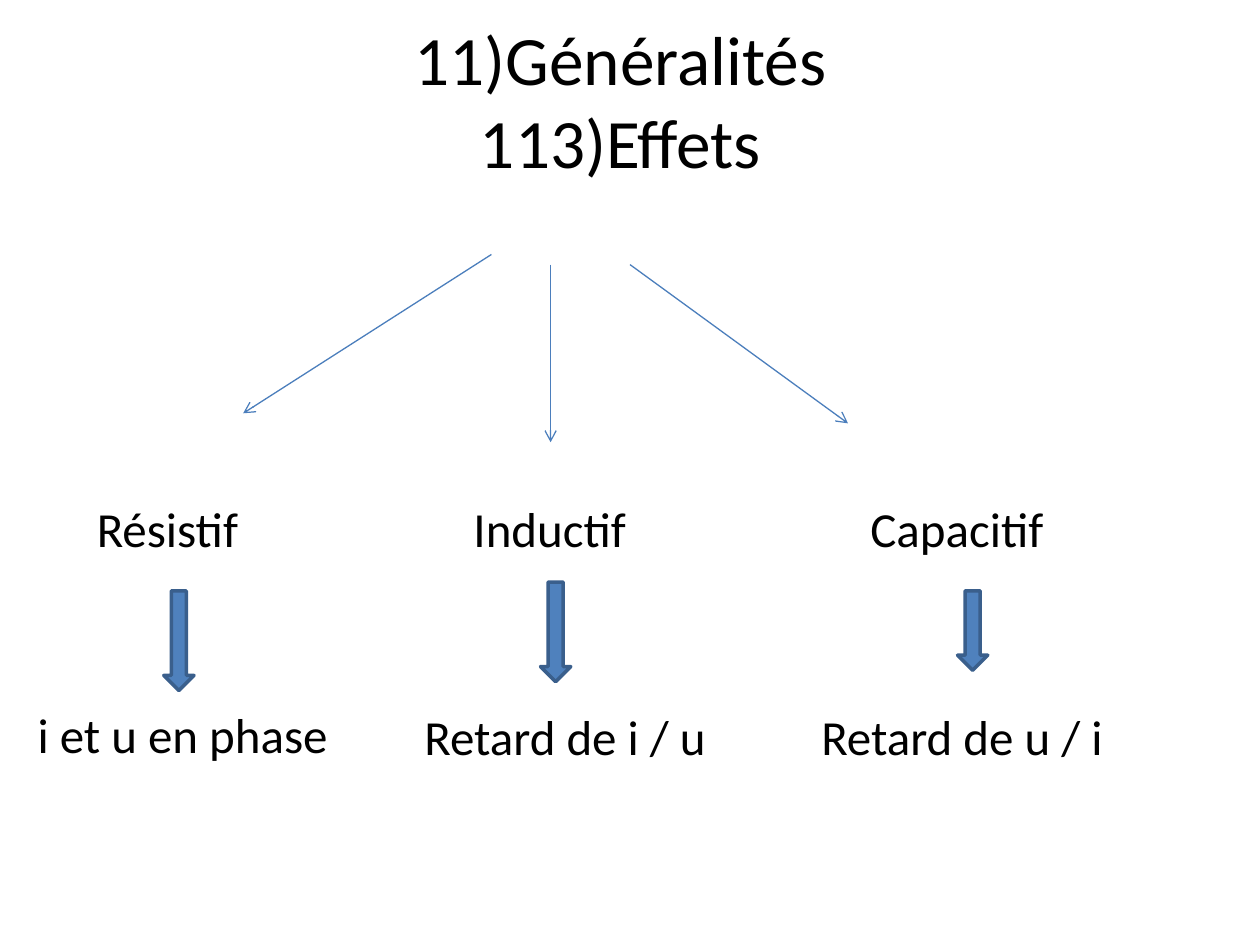
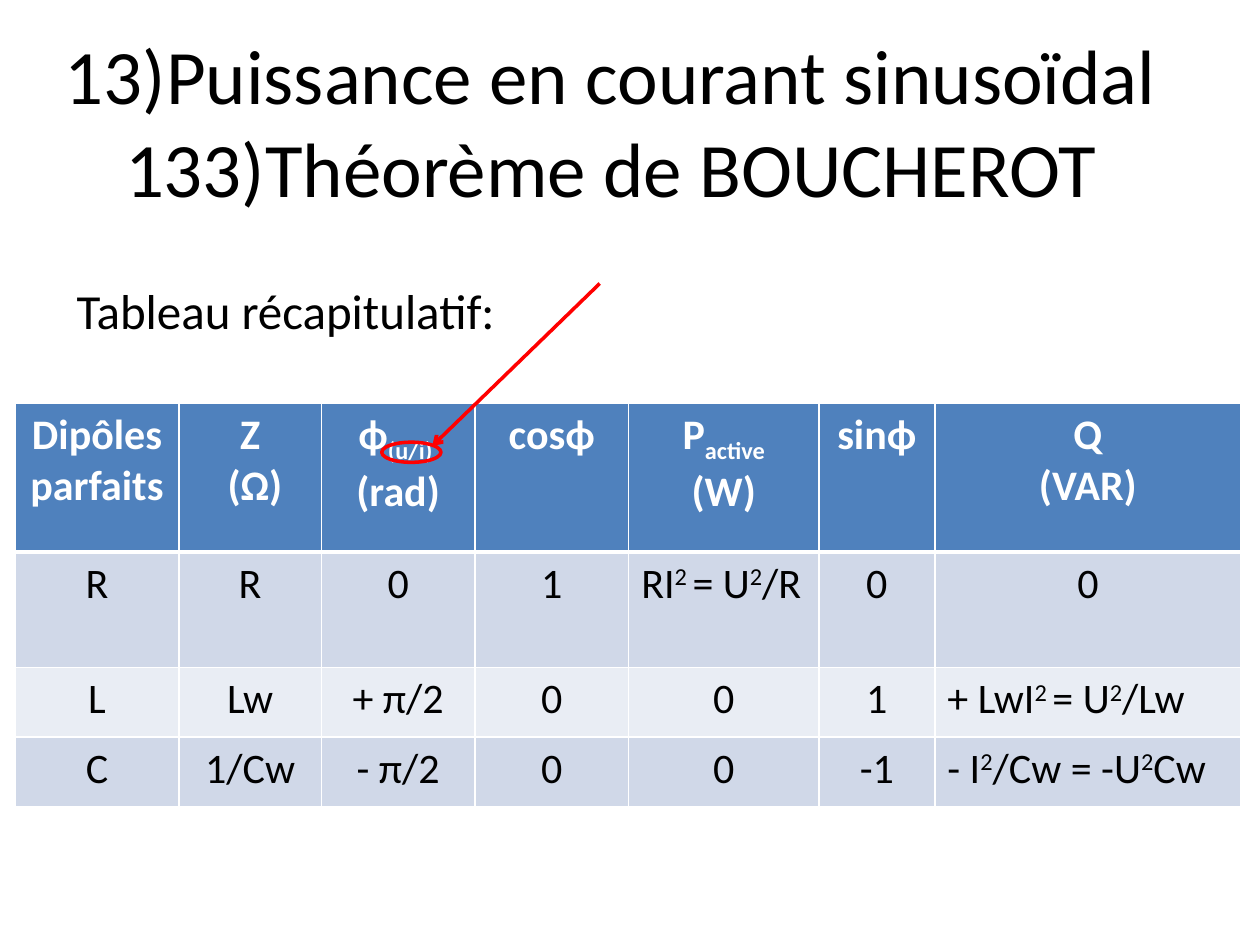
from lxml import etree
from pptx import Presentation
from pptx.dml.color import RGBColor
from pptx.enum.shapes import MSO_CONNECTOR, MSO_SHAPE
from pptx.enum.text import MSO_ANCHOR, MSO_AUTO_SIZE, PP_ALIGN
from pptx.oxml.ns import qn
from pptx.util import Inches, Pt

FONT = "Calibri"
BLACK, WHITE, RED = "000000", "FFFFFF", "FF0000"
BLUE, DARK_BLUE, LINE_BLUE = "4F81BD", "3A5F8C", "4B7EBC"
BANDS = ["D0D8E8", "E9EDF4"]
SUBSCRIPT, SUPERSCRIPT = "-25000", "30000"

# Text between bars is lowered in the header and raised in the body.
HEADER = ["Dipôles parfaits", "Z\n (Ω)", "ϕ|(u/i) |\n(rad)", "cosϕ",
          "P|active|\n(W)", "sinϕ", "Q\n(VAR)"]
BODY = [
    ["R", "R", "0", "1", "RI|2 |= U|2|/R", "0", "0"],
    ["L", "Lw", "+ π/2", "0", "0", "1", "+ LwI|2 |= U|2|/Lw"],
    ["C", "1/Cw", "- π/2", "0", "0", "-1", "- I|2|/Cw = -U|2|Cw"],
]
COLUMN_WIDTHS = [1.3, 1.13, 1.22, 1.22, 1.51, 0.92, 2.43]
ROW_HEIGHTS = [1.18, 0.92, 0.55, 0.55]


def color(value):
    return RGBColor.from_string(value)


def inches(values):
    return [Inches(value) for value in values]


def style_paragraph(para, size, ink=BLACK, bold=False, align=PP_ALIGN.LEFT):
    para.alignment = align
    para.font.name = FONT
    para.font.size = Pt(size)
    para.font.bold = bold
    para.font.color.rgb = color(ink)


def add_page(deck, title, box, size):
    page = deck.slides.add_slide(deck.slide_layouts[5])
    holder = page.shapes.title
    holder.left, holder.top, holder.width, holder.height = inches(box)
    frame = holder.text_frame
    frame.auto_size = MSO_AUTO_SIZE.NONE
    frame.vertical_anchor = MSO_ANCHOR.MIDDLE
    para = frame.paragraphs[0]
    para.text = title
    style_paragraph(para, size, align=PP_ALIGN.CENTER)
    return page


def add_label(page, text, left, top, width):
    frame = page.shapes.add_textbox(*inches([left, top, width, 0.57])).text_frame
    frame.word_wrap = True
    frame.auto_size = MSO_AUTO_SIZE.SHAPE_TO_FIT_TEXT
    para = frame.paragraphs[0]
    para.text = text
    style_paragraph(para, 28)


def add_outlined_shape(page, preset, box, ink, fill=None):
    shape = page.shapes.add_shape(preset, *inches(box))
    shape.shadow.inherit = False
    if fill:
        shape.fill.solid()
        shape.fill.fore_color.rgb = color(fill)
    else:
        shape.fill.background()
    shape.line.color.rgb = color(ink)
    shape.line.width = Pt(2)


def add_arrow(page, start, end, ink, width):
    arrow = page.shapes.add_connector(MSO_CONNECTOR.STRAIGHT, *inches(start + end))
    arrow.line.color.rgb = color(ink)
    arrow.line.width = Pt(width)
    etree.SubElement(arrow.line._get_or_add_ln(), qn("a:tailEnd"), type="arrow")
    etree.SubElement(arrow._element.spPr, qn("a:effectLst"))


def add_effect(page, left, effect, consequence):
    """Place an effect, a block arrow and its consequence in one column."""
    name, name_left, name_width = effect
    text, text_top, arrow_left, arrow_top, arrow_height = consequence
    add_label(page, name, left + name_left, 3.91, name_width)
    add_outlined_shape(page, MSO_SHAPE.DOWN_ARROW,
                       [left + arrow_left, arrow_top, 0.24, arrow_height],
                       DARK_BLUE, BLUE)
    add_label(page, text, left, text_top, 2.6)


def set_borders(cell, top, bottom):
    properties = cell._tc.get_or_add_tcPr()
    for side, width in (("L", 1), ("R", 1), ("T", top), ("B", bottom)):
        line = etree.SubElement(properties, qn(f"a:ln{side}"), w=str(Pt(width)))
        fill = etree.SubElement(line, qn("a:solidFill"))
        etree.SubElement(fill, qn("a:srgbClr"), val=WHITE)


def fill_cell(cell, text, is_header, fill, top, bottom):
    set_borders(cell, top, bottom)
    cell.fill.solid()
    cell.fill.fore_color.rgb = color(fill)
    frame = cell.text_frame
    for index, line in enumerate(text.split("\n")):
        para = frame.add_paragraph() if index else frame.paragraphs[0]
        centered = is_header or "|" not in text
        style_paragraph(para, 24, WHITE if is_header else BLACK, is_header,
                        PP_ALIGN.CENTER if centered else PP_ALIGN.LEFT)
        for position, piece in enumerate(line.split("|")):
            if piece:
                span = para.add_run()
                span.text = piece
                if position % 2:
                    span._r.get_or_add_rPr().set(
                        "baseline", SUBSCRIPT if is_header else SUPERSCRIPT)


def add_summary_table(page, left, top):
    rows = [HEADER] + BODY
    box = [left, top, sum(COLUMN_WIDTHS), sum(ROW_HEIGHTS)]
    table = page.shapes.add_table(len(rows), len(HEADER), *inches(box)).table
    for column, width in zip(table.columns, COLUMN_WIDTHS):
        column.width = Inches(width)
    for index, (row, height) in enumerate(zip(table.rows, ROW_HEIGHTS)):
        row.height = Inches(height)
        is_header = index == 0
        fill = BLUE if is_header else BANDS[(index - 1) % 2]
        for cell, text in zip(row.cells, rows[index]):
            fill_cell(cell, text, is_header, fill,
                      top=3 if index == 1 else 1, bottom=3 if is_header else 1)


def build_effects_page(deck):
    page = add_page(deck, "11)Généralités\v113)Effets", [0.35, 0.05, 9.15, 1.48], 39.6)
    for start, end in (([3.9, 2.02], [1.93, 3.28]),
                       ([4.37, 2.1], [4.37, 3.51]),
                       ([5, 2.1], [6.73, 3.36])):
        add_arrow(page, start, end, LINE_BLUE, 0.75)
    add_effect(page, 0.2, ("Résistif", 0.47, 1.5),
               ("i et u en phase", 5.54, 1.1, 4.69, 0.79))
    add_effect(page, 3.27, ("Inductif", 0.39, 1.5),
               ("Retard de i / u", 5.56, 1.02, 4.62, 0.79))
    add_effect(page, 6.42, ("Capacitif", 0.39, 1.65),
               ("Retard de u / i", 5.56, 1.18, 4.69, 0.63))


def build_summary_page(deck):
    page = add_page(deck, "13)Puissance en courant sinusoïdal\v133)Théorème de BOUCHEROT",
                    [0.2, -0.11, 9.3, 2.13], 44)
    add_label(page, "Tableau récapitulatif:", 0.51, 2.18, 3.7)
    add_summary_table(page, 0.12, 3.2)
    add_outlined_shape(page, MSO_SHAPE.OVAL, [3.03, 3.51, 0.47, 0.16], RED)
    add_arrow(page, [4.76, 2.25], [3.43, 3.54], RED, 2)


def main():
    deck = Presentation()
    deck.slide_width, deck.slide_height = Inches(10), Inches(7.5)
    build_effects_page(deck)
    build_summary_page(deck)
    deck.save("out.pptx")


if __name__ == "__main__":
    main()
